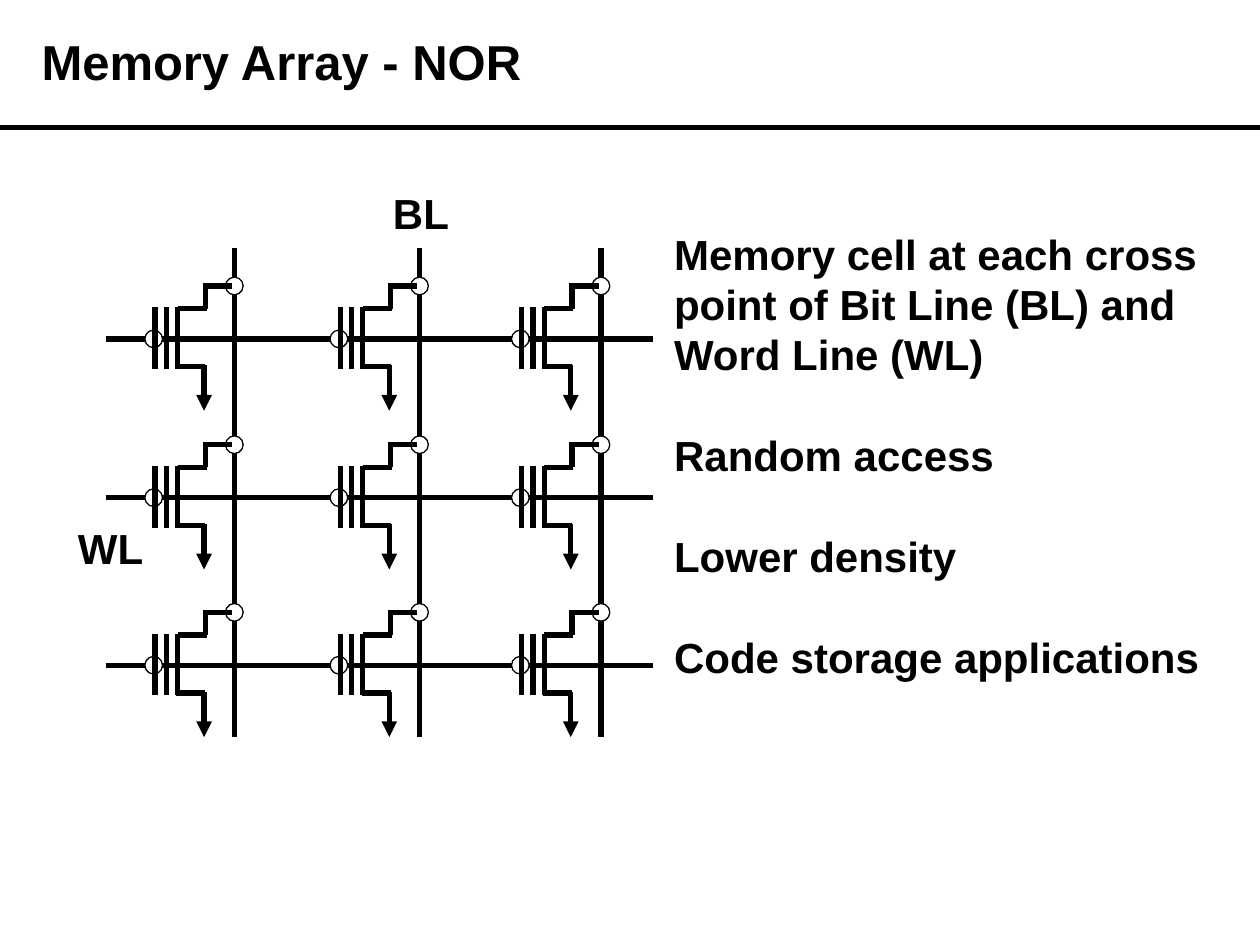
from lxml import etree
from pptx import Presentation
from pptx.dml.color import RGBColor
from pptx.enum.shapes import MSO_CONNECTOR, MSO_SHAPE
from pptx.enum.text import MSO_ANCHOR, MSO_AUTO_SIZE, PP_ALIGN
from pptx.oxml.ns import qn
from pptx.util import Inches, Pt

STRAIGHT = MSO_CONNECTOR.STRAIGHT
OVAL = MSO_SHAPE.OVAL
TOP, LEFT = MSO_ANCHOR.TOP, PP_ALIGN.LEFT
GROW = MSO_AUTO_SIZE.SHAPE_TO_FIT_TEXT

BLACK, WHITE = "000000", "FFFFFF"
SLIDE_W, SLIDE_H = 10, 7.5
LINE_HEIGHT = 1.2  # line pitch as a multiple of the text size

# Array layout: left edges of the cell columns, top edges of the cell rows
CELL_LEFTS = (1.15, 2.62, 4.06)
CELL_TOPS = (2.2, 3.46, 4.79)
CELL_W, CELL_H = 0.79, 1.06
CELL_COLS, CELL_ROWS = 79, 106

# Transistor strokes on the cell grid: x1, y1, x2, y2
STROKES = (
    *((x, 73, x, 24) for x in (8, 17, 26)),  # two gates and the channel
    (25, 71, 48, 71), (47, 70, 47, 98),      # source
    (26, 25, 49, 25), (48, 25, 48, 7), (46, 7, 69, 7),  # drain
)
GROUND = (47, 84, 47, 106)
CONTACTS = ((64, 0), (0, 42))  # on the bit line, on the word line
CONTACT_SIZE = 14
BIT_LINE_COL, WORD_LINE_ROW = 71, 49


def color(hex_code):
    return RGBColor.from_string(hex_code)


def add_wire(slide, x1, y1, x2, y2, arrow=False):
    wire = slide.shapes.add_connector(
        STRAIGHT, *(Inches(v) for v in (x1, y1, x2, y2)))
    wire.line.color.rgb = color(BLACK)
    wire.line.width = Pt(3)
    if arrow:
        etree.SubElement(wire.line._get_or_add_ln(), qn("a:tailEnd"), type="triangle")
    etree.SubElement(wire._element.spPr, qn("a:effectLst"))


def write_text(shape, box, *paragraphs, size=24, gap=0):
    shape.left, shape.top, shape.width, shape.height = (Inches(v) for v in box)
    frame = shape.text_frame
    frame.word_wrap = True
    frame.auto_size = GROW
    frame.vertical_anchor = TOP
    for i, text in enumerate(paragraphs):
        para = frame.paragraphs[0] if i == 0 else frame.add_paragraph()
        para.alignment = LEFT
        para.line_spacing = Pt(size * LINE_HEIGHT)
        para.space_before = Pt(gap if i else 0)
        para.space_after = Pt(0)
        props = para._p.get_or_add_pPr()
        props.set("marL", "0")
        props.set("indent", "0")
        etree.SubElement(props, qn("a:buNone"))
        run = para.add_run()
        run.text = text
        run.font.name = "Arial"
        run.font.size = Pt(size)
        run.font.bold = True
        run.font.color.rgb = color(BLACK)


def add_header(slide, box):
    left, top, width, height = box
    add_wire(slide, left, top + height, left + width, top + height)
    write_text(slide.shapes.title, (left + 0.23, top + 0.2, 5.25, 0.57),
               "Memory Array - NOR", size=28)


def add_cell(slide, left, top):
    col, row = CELL_W / CELL_COLS, CELL_H / CELL_ROWS

    def place(x1, y1, x2, y2):
        return left + x1 * col, top + y1 * row, left + x2 * col, top + y2 * row

    for x, y in CONTACTS:
        contact = slide.shapes.add_shape(
            OVAL, Inches(left + x * col), Inches(top + y * row),
            Inches(CONTACT_SIZE * col), Inches(CONTACT_SIZE * row))
        contact.shadow.inherit = False
        contact.fill.solid()
        contact.fill.fore_color.rgb = color(WHITE)
        contact.line.color.rgb = color(BLACK)
        contact.line.width = Pt(0.75)
    add_wire(slide, *place(*GROUND), arrow=True)
    for stroke in STROKES:
        add_wire(slide, *place(*stroke))


def add_array(slide, box):
    left, top, width, height = box
    # Line names
    for name, label_box in (("WL", (left - 0.32, top + 2.13, 0.92, 0.5)),
                            ("BL", (left + 2.18, top - 0.53, 1.01, 0.5))):
        label = slide.shapes.add_textbox(0, 0, 0, 0)
        write_text(label, label_box, name)
    # Word lines and bit lines
    for cell_top in CELL_TOPS:
        y = cell_top + WORD_LINE_ROW * CELL_H / CELL_ROWS
        add_wire(slide, left, y, left + width, y)
    for cell_left in CELL_LEFTS:
        x = cell_left + BIT_LINE_COL * CELL_W / CELL_COLS
        add_wire(slide, x, top, x, top + height)
    # Memory cells
    for cell_top in CELL_TOPS:
        for cell_left in CELL_LEFTS:
            add_cell(slide, cell_left, cell_top)


def add_features(slide, box):
    write_text(slide.placeholders[1], box,
               "Memory cell at each cross point of Bit Line (BL) and Word Line (WL)",
               "Random access", "Lower density", "Code storage applications",
               gap=24 * LINE_HEIGHT)


def main():
    deck = Presentation()
    deck.slide_width, deck.slide_height = Inches(SLIDE_W), Inches(SLIDE_H)
    slide = deck.slides.add_slide(deck.slide_layouts[1])
    add_header(slide, (0, 0, SLIDE_W, 1.01))
    add_features(slide, (5.25, 1.76, 4.38, 4.1))
    add_array(slide, (0.84, 1.97, 4.34, 3.88))
    deck.save("out.pptx")


if __name__ == "__main__":
    main()
